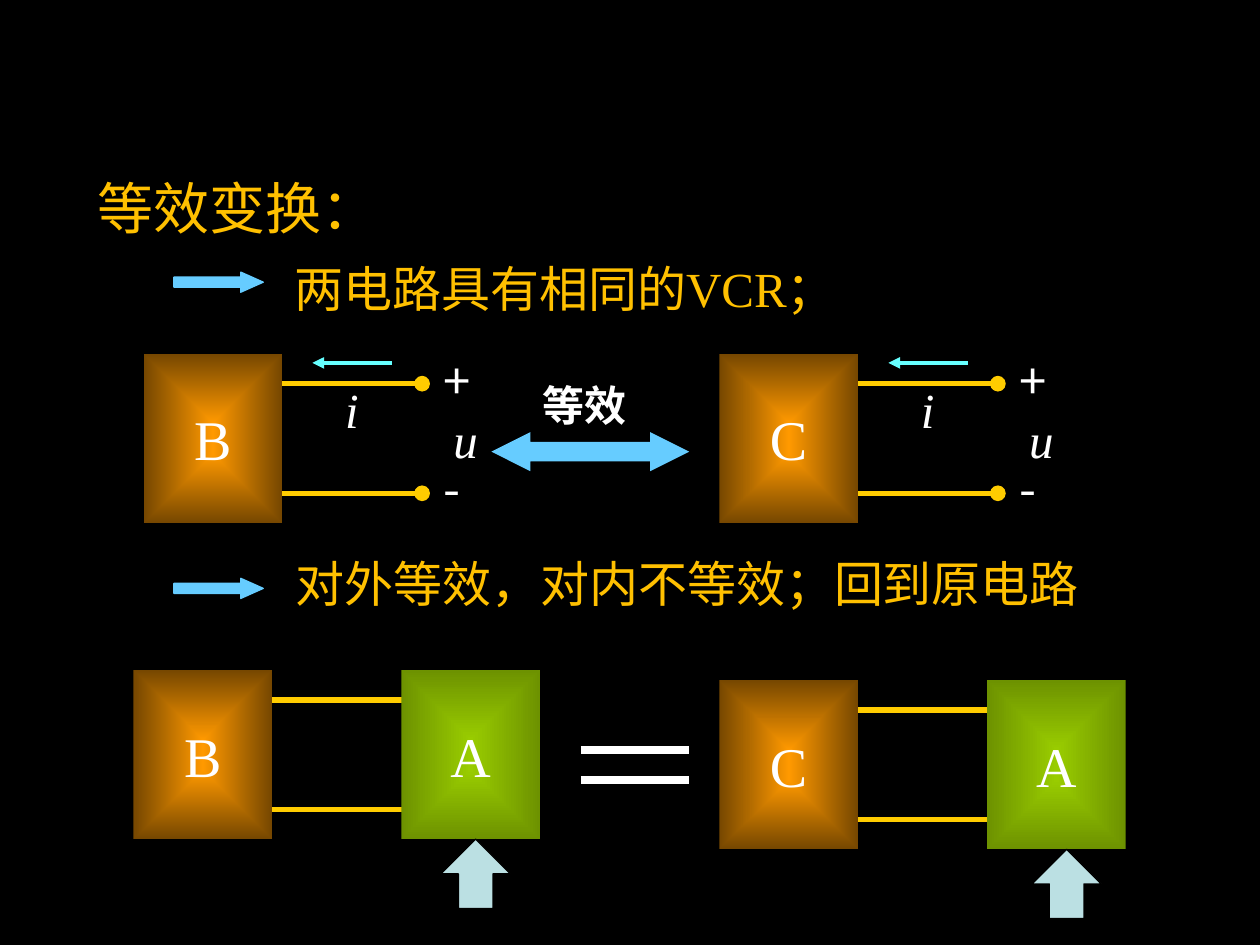
from lxml.etree import SubElement
from pptx import Presentation
from pptx.dml.color import RGBColor
from pptx.enum.shapes import MSO_CONNECTOR, MSO_SHAPE
from pptx.enum.text import MSO_ANCHOR, PP_ALIGN
from pptx.oxml.ns import qn
from pptx.util import Inches, Pt

COLORS = {
    "black": "000000", "white": "FFFFFF", "gold": "FFC000", "wire": "FFCC00",
    "cyan": "66FFFF", "sky": "66CCFF", "pale": "BBE0E3",
    "amber": "FF9900", "brown": "764700", "lime": "99CC00", "moss": "6D9200",
}
SERIF = "Times New Roman"
HAN = "Noto Sans CJK SC"
BOX_W, BOX_H = 1.1, 1.34
TOP, LOW = 0.235, 1.105


def color(name):
    """Return the named colour."""
    return RGBColor.from_string(COLORS[name])


def style(run, size, face, ink, bold=False, slant=False):
    """Format one run, with a Chinese face beside the Latin one."""
    font = run.font
    font.size, font.name = Pt(size), face
    font.bold, font.italic = bold, slant
    font.color.rgb = color(ink)
    SubElement(run._r.get_or_add_rPr(), qn("a:ea"), typeface=HAN)


def label(slide, text, left, top, width, height, size=28, face=HAN,
          ink="white", **looks):
    """Add a text box with one line and return its paragraph."""
    box = slide.shapes.add_textbox(
        Inches(left), Inches(top), Inches(width), Inches(height))
    box.text_frame.word_wrap = True
    line = box.text_frame.paragraphs[0]
    line.text = text
    style(line.runs[0], size, face, ink, **looks)
    return line


def wire(slide, start, end, ink, width, tip=None):
    """Draw a straight line, with an optional tip at its end."""
    line = slide.shapes.add_connector(
        MSO_CONNECTOR.STRAIGHT, *(Inches(n) for n in start + end))
    line.line.color.rgb = color(ink)
    line.line.width = Pt(width)
    if tip:
        SubElement(line.line._get_or_add_ln(), qn("a:tailEnd"), type=tip)
    SubElement(line._element.spPr, qn("a:effectLst"))


def block(slide, text, left, top, inner, outer):
    """Draw a circuit block shaded from its centre outwards."""
    box = slide.shapes.add_shape(
        MSO_SHAPE.RECTANGLE, Inches(left), Inches(top),
        Inches(BOX_W), Inches(BOX_H))
    box.shadow.inherit = False
    box.line.fill.background()
    box.fill.gradient()
    for stop, name in zip(box.fill.gradient_stops, (inner, outer)):
        stop.color.rgb = color(name)
    grad = box._element.spPr.find(qn("a:gradFill"))
    grad.remove(grad.find(qn("a:lin")))
    shade = SubElement(grad, qn("a:path"), {"path": "rect"})
    SubElement(shade, qn("a:fillToRect"),
               {side: "50000" for side in "ltrb"})
    frame = box.text_frame
    frame.word_wrap = False
    frame.vertical_anchor = MSO_ANCHOR.MIDDLE
    frame.text = text
    frame.paragraphs[0].alignment = PP_ALIGN.CENTER
    style(frame.paragraphs[0].runs[0], 32, SERIF, "white")


def arrow(slide, kind, place, ink, edge=None, head=0.5, turn=0):
    """Draw a block arrow."""
    shape = slide.shapes.add_shape(kind, *(Inches(n) for n in place))
    shape.shadow.inherit = False
    shape.adjustments[0], shape.adjustments[1] = 0.5, head
    shape.rotation = turn
    shape.fill.solid()
    shape.fill.fore_color.rgb = color(ink)
    if edge:
        shape.line.color.rgb = color(edge)
        shape.line.width = Pt(0.75)
    else:
        shape.line.fill.background()


def source(slide, name, left, top):
    """Draw an amber block with its two wires."""
    block(slide, name, left, top, "amber", "brown")
    start = left + BOX_W
    for drop in (TOP, LOW):
        wire(slide, (start, top + drop), (start + 1.11, top + drop),
             "wire", 3, "oval")


def port(slide, name, left, top):
    """Draw a one-port with its current and voltage marks."""
    source(slide, name, left, top)
    wire(slide, (left + 1.97, top + 0.07), (left + 1.34, top + 0.07),
         "cyan", 2.25, "triangle")
    marks = (("+", 2.28, -0.08, HAN), ("-", 2.28, 0.78, HAN),
             ("u", 2.36, 0.39, SERIF), ("i", 1.5, 0.15, SERIF))
    for text, right, down, face in marks:
        label(slide, text, left + right, top + down, 0.39, 0.57,
              face=face, slant=face == SERIF)


def loop(slide, name, left, top):
    """Draw a source joined to the outer block A."""
    source(slide, name, left, top)
    block(slide, "A", left + 2.125, top, "lime", "moss")


def title(slide, text):
    """Place and format the slide title."""
    shape = slide.shapes.title
    shape.left, shape.top = Inches(0.67), Inches(1.33)
    shape.width, shape.height = Inches(4.96), Inches(0.64)
    frame = shape.text_frame
    frame.vertical_anchor = MSO_ANCHOR.TOP
    frame.text = text
    frame.paragraphs[0].alignment = PP_ALIGN.LEFT
    style(frame.paragraphs[0].runs[0], 32, HAN, "gold")


def main():
    """Build the slide on equivalent circuits."""
    deck = Presentation()
    deck.slide_width, deck.slide_height = Inches(10), Inches(7.5)
    slide = deck.slides.add_slide(deck.slide_layouts[5])
    slide.background.fill.solid()
    slide.background.fill.fore_color.rgb = color("black")

    title(slide, "等效变换：")
    point = label(slide, "两电路具有相同的", 2.24, 2, 4.88, 0.57, ink="gold")
    tail = point.add_run()
    tail.text = "VCR；"
    style(tail, 28, SERIF, "gold")
    label(slide, "对外等效，对内不等效；回到原电路",
          2.25, 4.34, 6.5, 0.57, ink="gold")
    for top in (2.16, 4.59):
        arrow(slide, MSO_SHAPE.RIGHT_ARROW, (1.38, top, 0.71, 0.16),
              "sky", "sky", 1.12)

    port(slide, "B", 1.14, 2.81)
    port(slide, "C", 5.71, 2.81)
    arrow(slide, MSO_SHAPE.LEFT_RIGHT_ARROW, (3.9, 3.43, 1.57, 0.31),
          "sky", head=1)
    label(slide, "等效", 4.21, 2.96, 1.26, 0.5, 24, "Arial", bold=True)

    loop(slide, "B", 1.06, 5.32)
    loop(slide, "C", 5.71, 5.4)
    for top in (5.95, 6.19):
        wire(slide, (4.61, top), (5.47, top), "white", 4.5)
    for left, top in ((3.5, 6.66), (8.19, 6.74)):
        arrow(slide, MSO_SHAPE.DOWN_ARROW, (left, top, 0.55, 0.55),
              "pale", "black", turn=180)

    deck.save("out.pptx")


if __name__ == "__main__":
    main()
